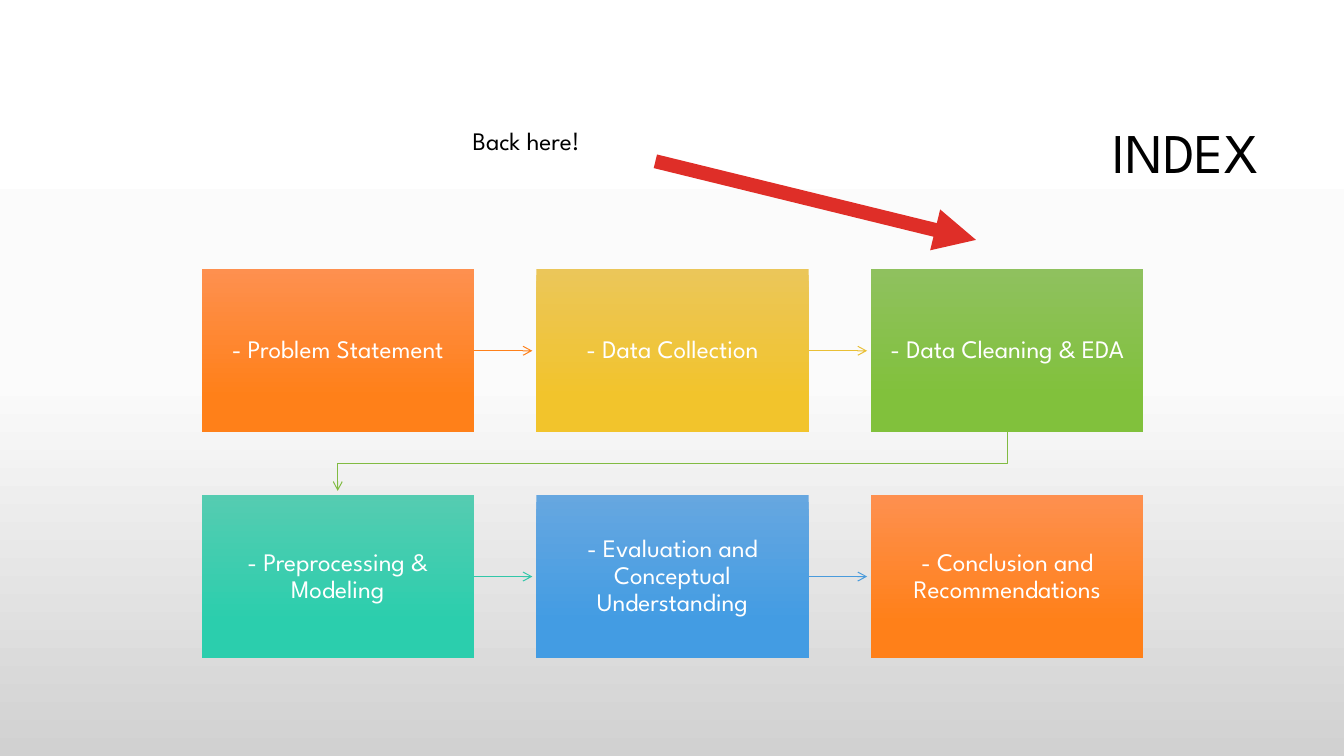
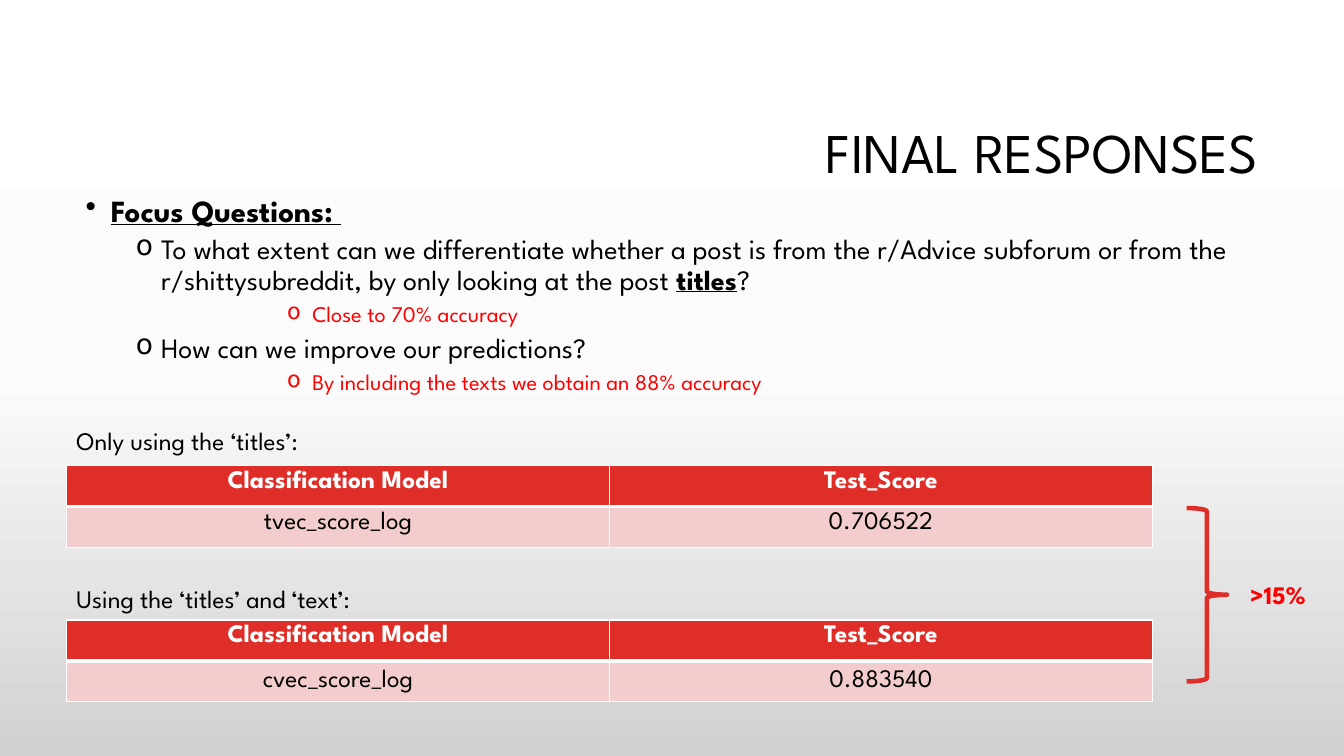
"""Build two slides: an index flow and the final responses."""
from lxml import etree
from pptx import Presentation
from pptx.dml.color import RGBColor
from pptx.enum import shapes, text
from pptx.oxml.ns import qn
from pptx.util import Inches, Pt

HUES = {"black": "000000", "white": "FFFFFF", "red": "DF2E28",
        "alert": "FF0000", "pink": "F3CDCD"}
FONT = "League Spartan"
BACK = [(0, "FFFFFF"), (50, "FBFBFB"), (100, "D1D1D1")]
TITLE = {"top": 0.84, "height": 1.41, "right": 12.58}

STEPS = [
    ("- Problem Statement", "FE904F", "FF8019", "FE801A"),
    ("- Data Collection", "EBC659", "F2C42C", "E9BF35"),
    ("- Data Cleaning & EDA", "8FC15E", "81C13C", "81BB42"),
    ("- Preprocessing & Modeling", "55CCB1", "2BCEAD", "32C7A9"),
    ("- Evaluation and Conceptual Understanding", "66A7E0", "439CE3", "4A9BDC"),
    ("- Conclusion and Recommendations", "FE904F", "FF8019", None),
]
GRID = {"cols": 3, "x": 2, "y": 2.67, "w": 2.7, "h": 1.62, "dx": 3.32, "dy": 2.24}
GAP = 0.04

MARK = {"bold": True, "underline": True}
POINTS = [
    (0, "•", 22, "black", [("Focus Questions: ", MARK)]),
    (1, "o", 20, "black", [
        ("To what extent can we differentiate whether a post is from the r/Advice "
         "subforum or from the r/shittysubreddit, by only looking at the post ", {}),
        ("titles", MARK), ("?", {})]),
    (4, "o", 16, "alert", [("Close to 70% accuracy", {})]),
    (1, "o", 20, "black", [("How can we improve our predictions?", {})]),
    (4, "o", 16, "alert", [("By including the texts we obtain an 88% accuracy", {})]),
]
HEAD = ("Classification Model", "Test_Score")
SCORES = [
    (4.17, "Only using the ‘titles’:", 4.62, ("tvec_score_log", "0.706522"), "TOP"),
    (5.74, "Using the ‘titles’ and ‘text’:", 6.15, ("cvec_score_log", "0.883540"), "MIDDLE"),
]


def rgb(hue):
    return RGBColor.from_string(HUES.get(hue, hue))


def put(item, **form):
    for key, val in form.items():
        setattr(item, key, val)


def inch(*nums):
    return [Inches(num) for num in nums]


def node(root, tag, **attrs):
    return etree.SubElement(root, qn(tag), attrs)


def shade(fill, root, stops):
    fill.gradient()
    fill.gradient_angle = 270
    ramp = next(root.iter(qn("a:gsLst")))
    for stop in list(ramp):
        ramp.remove(stop)
    for pos, hue in stops:
        node(node(ramp, "a:gs", pos=str(pos * 1000)), "a:srgbClr", val=hue)


def write(para, words, size=18, hue="black", **form):
    run = para.add_run()
    run.text = words
    put(run.font, name=FONT, size=Pt(size), **form)
    run.font.color.rgb = rgb(hue)


def label(slide, spot, words=None, **form):
    frame = slide.shapes.add_textbox(*inch(*spot)).text_frame
    frame.word_wrap = True
    if words:
        write(frame.paragraphs[0], words, **form)
    return frame


def start(deck, words, left):
    slide = deck.slides.add_slide(deck.slide_layouts[5])
    box = slide.shapes.title
    put(box, left=Inches(left), top=Inches(TITLE["top"]),
        width=Inches(TITLE["right"] - left), height=Inches(TITLE["height"]))
    put(box.text_frame, vertical_anchor=text.MSO_ANCHOR.MIDDLE,
        auto_size=text.MSO_AUTO_SIZE.NONE, word_wrap=True)
    para = box.text_frame.paragraphs[0]
    put(para, alignment=text.PP_ALIGN.RIGHT, line_spacing=0.9)
    write(para, words, 40)
    return slide


def arrow(slide, spots, hue, width=0.75, tip="arrow"):
    if len(spots) == 2:
        ends = inch(*spots[0], *spots[1])
        line = slide.shapes.add_connector(shapes.MSO_CONNECTOR.STRAIGHT, *ends)
        node(line._element.spPr, "a:effectLst")
    else:
        pen = slide.shapes.build_freeform(*inch(*spots[0]))
        pen.add_line_segments([inch(*spot) for spot in spots[1:]], close=False)
        line = pen.convert_to_shape()
        line.fill.background()
        line.shadow.inherit = False
    line.line.color.rgb = rgb(hue)
    line.line.width = Pt(width)
    node(line._element.spPr.find(qn("a:ln")), "a:tailEnd", type=tip)


def flow(slide):
    wide, high = GRID["w"], GRID["h"]
    spots = [(GRID["x"] + i % GRID["cols"] * GRID["dx"],
              GRID["y"] + i // GRID["cols"] * GRID["dy"]) for i in range(len(STEPS))]
    for i, (words, light, deep, hue) in enumerate(STEPS):
        x, y = spots[i]
        box = slide.shapes.add_shape(shapes.MSO_SHAPE.RECTANGLE, *inch(x, y, wide, high))
        box.shadow.inherit = False
        box.line.fill.background()
        shade(box.fill, box._element, [(0, light), (78, deep)])
        put(box.text_frame, word_wrap=True, vertical_anchor=text.MSO_ANCHOR.MIDDLE,
            margin_left=Inches(0.13), margin_right=Inches(0.13),
            margin_top=Inches(0.14), margin_bottom=Inches(0.14))
        para = box.text_frame.paragraphs[0]
        put(para, alignment=text.PP_ALIGN.CENTER, line_spacing=0.9)
        write(para, words, hue="white")
        if not hue:
            continue
        nx, ny = spots[i + 1]
        if ny == y:
            mid = y + high / 2
            arrow(slide, [(x + wide, mid), (nx - GAP, mid)], hue)
        else:
            out, into, base = x + wide / 2, nx + wide / 2, y + high
            turn = (base + ny) / 2
            arrow(slide, [(out, base), (out, turn), (into, turn), (into, ny - GAP)], hue)


def points(slide):
    frame = label(slide, (0.75, 1.89, 12.25, 2.64))
    for i, (level, sign, size, hue, runs) in enumerate(POINTS):
        para = frame.add_paragraph() if i else frame.paragraphs[0]
        props = para._p.get_or_add_pPr()
        props.set("marL", str(Inches(0.25 + level * 0.5)))
        props.set("indent", str(Inches(-0.25)))
        node(props, "a:buChar", char=sign)
        put(para, level=level, line_spacing=0.9, space_before=Pt(5 if i else 0))
        for words, form in runs:
            write(para, words, size, hue, **form)


def edge(cell, row):
    props = cell._tc.get_or_add_tcPr()
    thick = "T" if row else "B"
    for side in "LRTB":
        width = Pt(3 if side == thick else 1)
        line = node(props, "a:ln" + side, w=str(width))
        node(node(line, "a:solidFill"), "a:srgbClr", val=HUES["white"])


def table(slide, top, body, anchor):
    grid = slide.shapes.add_table(2, 2, *inch(0.66, top, 10.77, 0.81)).table
    for r, words in enumerate((HEAD, body)):
        for c, word in enumerate(words):
            cell = grid.cell(r, c)
            edge(cell, r)
            cell.fill.solid()
            cell.fill.fore_color.rgb = rgb("pink" if r else "red")
            cell.vertical_anchor = text.MSO_ANCHOR[anchor if r else "TOP"]
            para = cell.text_frame.paragraphs[0]
            para.alignment = text.PP_ALIGN.CENTER
            write(para, word, hue="black" if r else "white", bold=not r)


def main():
    deck = Presentation()
    put(deck, slide_width=Inches(13.33), slide_height=Inches(7.5))
    base = deck.slide_master
    shade(base.background.fill, base._element, BACK)

    index = start(deck, "INDEX", 3.17)
    flow(index)
    arrow(index, [(6.5, 1.6), (9.68, 2.38)], "red", 10, "triangle")
    label(index, (4.59, 1.19, 1.64, 0.4), "Back here!")

    final = start(deck, "FINAL RESPONSES", 6.91)
    points(final)
    for y, words, top, body, anchor in SCORES:
        label(final, (0.66, y, 5.65, 0.4), words)
        table(final, top, body, anchor)
    brace = final.shapes.add_shape(shapes.MSO_SHAPE.RIGHT_BRACE, *inch(11.77, 5.04, 0.4, 1.72))
    brace.shadow.inherit = False
    brace.fill.background()
    brace.line.color.rgb = rgb("red")
    brace.line.width = Pt(3.25)
    label(final, (12.3, 5.7, 0.95, 0.4), ">15%", hue="alert", bold=True)
    deck.save("out.pptx")


if __name__ == "__main__":
    main()
